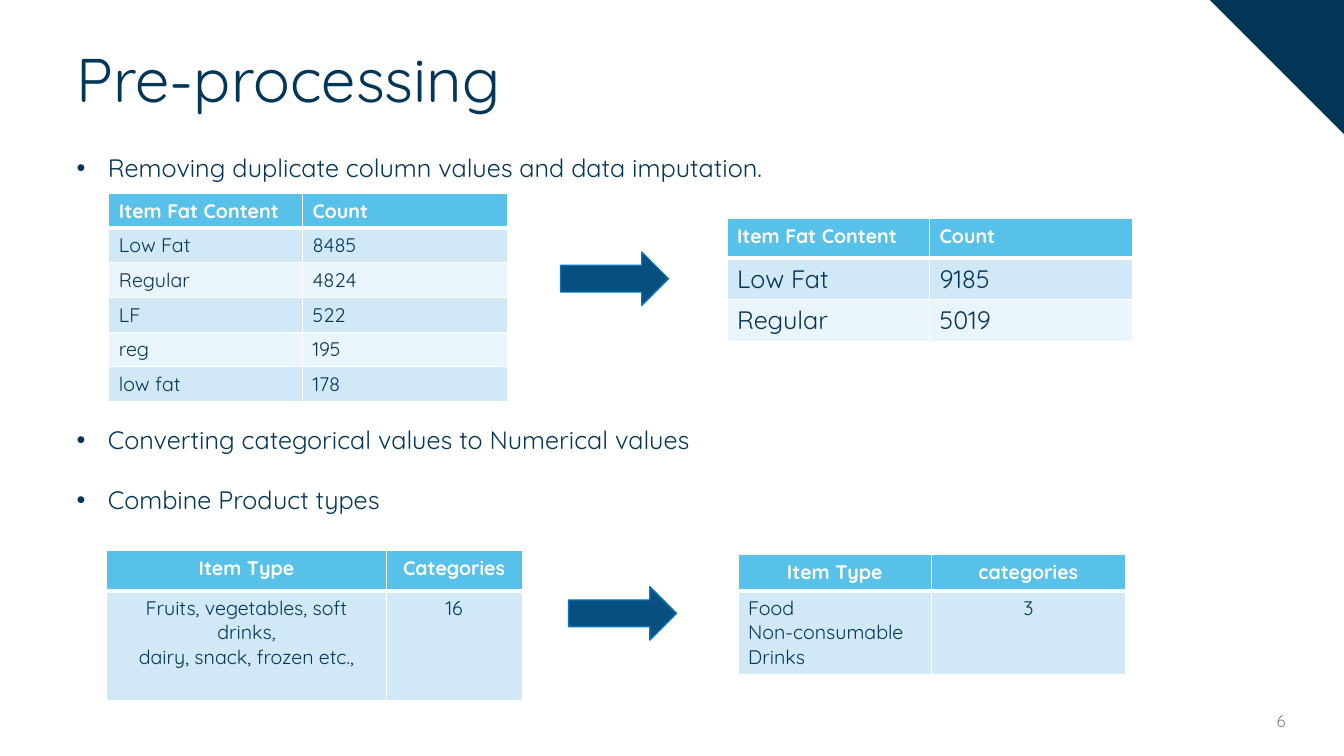
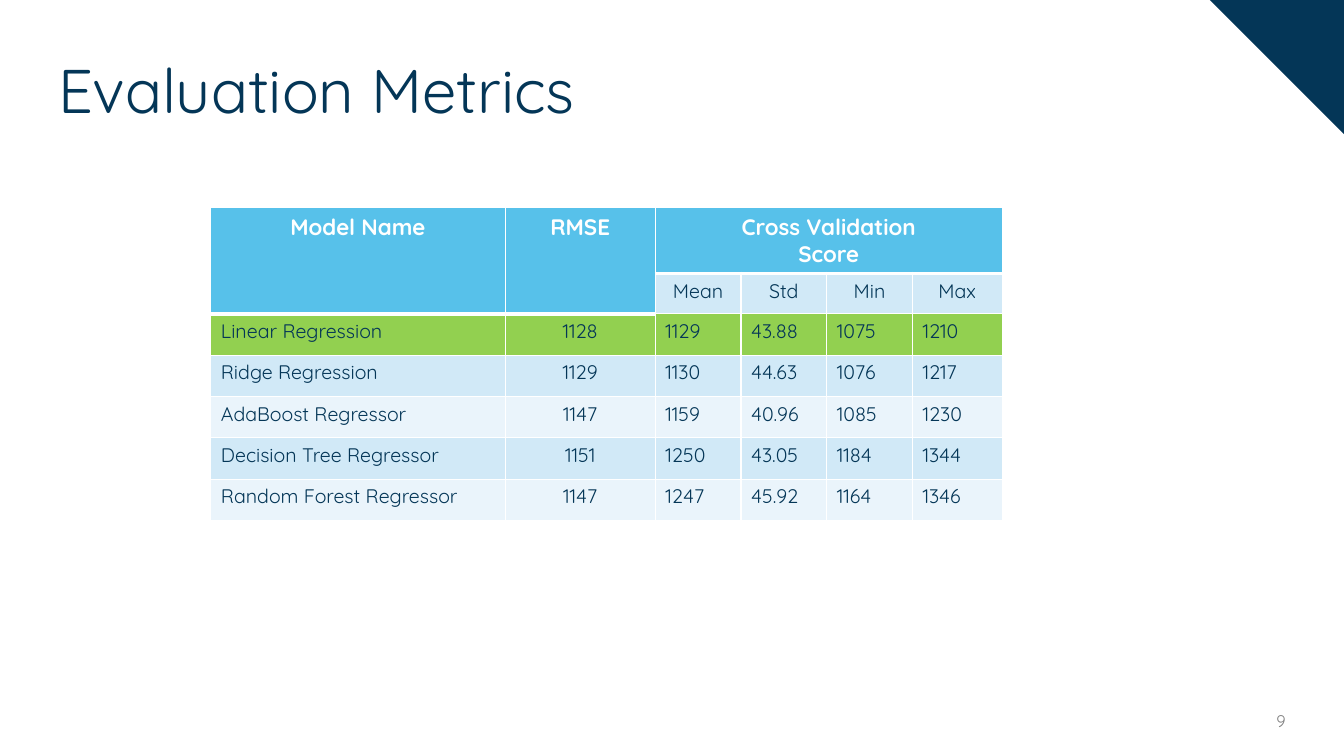
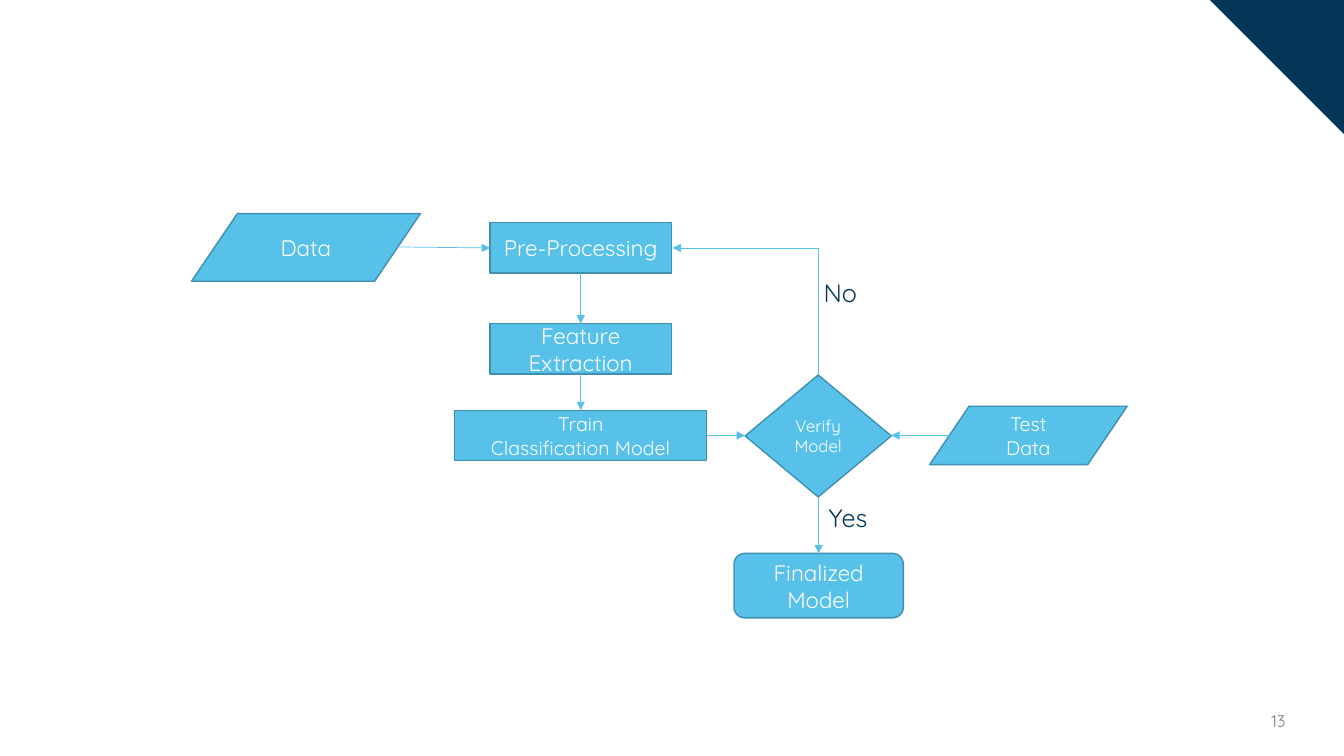
"""Build three slides on data preparation, model metrics and the training flow."""
from lxml.etree import SubElement
from pptx import Presentation
from pptx.dml.color import RGBColor
from pptx.enum.shapes import MSO_CONNECTOR as Connector, MSO_SHAPE as Shape
from pptx.enum.text import MSO_ANCHOR as Anchor, MSO_AUTO_SIZE as AutoSize, PP_ALIGN as Align
from pptx.oxml.ns import qn
from pptx.util import Inches, Pt

COLORS = {
    "navy": "043657", "sky": "57C1EA", "band_dark": "D1E9F7", "band_light": "EAF4FB",
    "highlight": "92D050", "arrow": "064F7F", "arrow_edge": "0974BB",
    "box_edge": "408FAD", "gray": "808080", "white": "FFFFFF",
}
FONT = "Quicksand"
ALIGNMENTS = {"l": Align.LEFT, "c": Align.CENTER, "r": Align.RIGHT}
TITLE_ONLY, TITLE_AND_BODY, BLANK = 5, 1, 6


def color(name):
    return RGBColor.from_string(COLORS[name])


def set_all(target, values):
    for name, value in values.items():
        setattr(target, name, value)


class Deck:
    """Hold the shared style and the current slide."""

    def __init__(self):
        self.presentation = Presentation()
        set_all(self.presentation, {"slide_width": Inches(13.33), "slide_height": Inches(7.5)})
        self.slide = None

    def new_slide(self, layout, number):
        self.slide = self.presentation.slides.add_slide(self.presentation.slide_layouts[layout])
        corner = self.shape(Shape.RIGHT_TRIANGLE, 12, 0, 1.33, 1.33, "navy")
        corner.rotation = 180
        self.label(str(number), 9.85, 6.95, 3, 0.4, 12, "gray", "r", Anchor.MIDDLE)

    def add_text(self, frame, text, size, ink="navy", align="l", bold=False, **paragraph_format):
        for index, line in enumerate(text.split("\n")):
            paragraph = frame.add_paragraph() if index else frame.paragraphs[0]
            set_all(paragraph, {"alignment": ALIGNMENTS[align], **paragraph_format})
            run = paragraph.add_run()
            run.text = line
            set_all(run.font, {"name": FONT, "size": Pt(size), "bold": bold})
            run.font.color.rgb = color(ink)

    def place(self, shape, left, top, width, height, anchor):
        set_all(shape, {"left": Inches(left), "top": Inches(top),
                        "width": Inches(width), "height": Inches(height)})
        set_all(shape.text_frame, {"word_wrap": True, "auto_size": AutoSize.NONE,
                                   "vertical_anchor": anchor})

    def title(self, text, left, top):
        title = self.slide.shapes.title
        self.place(title, left, top, 12.37, 1.06, Anchor.MIDDLE)
        self.add_text(title.text_frame, text, 44, line_spacing=0.9)

    def bullets(self, items, gaps, left, top, width, height):
        body = self.slide.placeholders[1]
        self.place(body, left, top, width, height, Anchor.TOP)
        self.add_text(body.text_frame, "\n".join(items), 18)
        for paragraph, gap in zip(body.text_frame.paragraphs, gaps):
            paragraph.space_before = Pt(gap)
            properties = paragraph._p.get_or_add_pPr()
            properties.set("marL", str(Inches(0.31)))
            properties.set("indent", str(Inches(-0.31)))
            SubElement(properties, qn("a:buChar")).set("char", "•")

    def label(self, text, left, top, width, height, size=18, ink="navy", align="l",
              anchor=Anchor.TOP):
        box = self.slide.shapes.add_textbox(0, 0, 0, 0)
        self.place(box, left, top, width, height, anchor)
        self.add_text(box.text_frame, text, size, ink, align)

    def shape(self, kind, left, top, width, height, fill, edge=None):
        shape = self.slide.shapes.add_shape(kind, 0, 0, 0, 0)
        self.place(shape, left, top, width, height, Anchor.MIDDLE)
        shape.shadow.inherit = False
        shape.fill.solid()
        shape.fill.fore_color.rgb = color(fill)
        if edge:
            shape.line.color.rgb = color(edge)
            shape.line.width = Pt(1)
        else:
            shape.line.fill.background()
        return shape

    def block_arrow(self, left, top):
        self.shape(Shape.RIGHT_ARROW, left, top, 1.07, 0.53, "arrow", "arrow_edge")

    def step(self, kind, text, left, top, width, height, size=16):
        shape = self.shape(kind, left, top, width, height, "sky", "box_edge")
        self.add_text(shape.text_frame, text, size, "white", "c")

    def line(self, start, end, arrow=True):
        points = [Inches(value) for value in (*start, *end)]
        connector = self.slide.shapes.add_connector(Connector.STRAIGHT, *points)
        connector.line.color.rgb = color("sky")
        connector.line.width = Pt(0.5)
        properties = connector._element.spPr
        if arrow:
            SubElement(properties.get_or_add_ln(), qn("a:tailEnd")).set("type", "triangle")
        SubElement(properties, qn("a:effectLst"))

    def borders(self, cell, bottom):
        properties = cell._tc.get_or_add_tcPr()
        for side, width in (("L", 1), ("R", 1), ("T", 1), ("B", bottom)):
            edge = SubElement(properties, qn(f"a:ln{side}"), w=str(Pt(width)))
            fill = SubElement(edge, qn("a:solidFill"))
            SubElement(fill, qn("a:srgbClr"), val=COLORS["white"])

    def table(self, left, top, widths, heights, rows, aligns, header_align="l",
              header_rows=1, header_size=14, size=14, merges=(), highlight=None):
        frame = self.slide.shapes.add_table(
            len(rows), len(widths), Inches(left), Inches(top),
            Inches(sum(widths)), Inches(sum(heights)))
        table = frame.table
        for column, width in zip(table.columns, widths):
            column.width = Inches(width)
        for row, height in zip(table.rows, heights):
            row.height = Inches(height)
        for first, last in merges:
            table.cell(*first).merge(table.cell(*last))
        for row, texts in enumerate(rows):
            band = "highlight" if row == highlight else ("band_light", "band_dark")[row % 2]
            for column, text in enumerate(texts):
                cell = table.cell(row, column)
                header = row == 0 or cell.is_spanned
                self.borders(cell, 3 if header else 1)
                cell.fill.solid()
                cell.fill.fore_color.rgb = color("sky" if header else band)
                if text:
                    align = header_align if row < header_rows else aligns[column]
                    self.add_text(cell.text_frame, text, header_size if header else size,
                                  "white" if header else "navy", align, header)


def preprocessing(deck):
    deck.new_slide(TITLE_AND_BODY, 6)
    deck.title("Pre-processing", 0.66, 0.29)
    deck.bullets(["Removing duplicate column values and data imputation.",
                  "Converting categorical values to Numerical values",
                  "Combine Product types"], [0, 173, 21], 0.66, 1.46, 9.52, 3.73)
    deck.block_arrow(5.56, 2.5)
    deck.block_arrow(5.64, 5.82)
    fat_header = ("Item Fat Content", "Count")
    deck.table(1.08, 1.92, [1.92, 2.03], [0.31] + [0.33] * 5,
               [fat_header, ("Low Fat", "8485"), ("Regular", "4824"), ("LF", "522"),
                ("reg", "195"), ("low fat", "178")], "ll")
    deck.table(7.21, 2.17, [2.01] * 2, [0.39, 0.4, 0.4],
               [fat_header, ("Low Fat", "9185"), ("Regular", "5019")], "ll", size=18)
    deck.table(1.06, 5.46, [2.77, 1.35], [0.4, 1.09],
               [("Item Type", "Categories"),
                ("Fruits, vegetables, soft drinks,\ndairy, snack, frozen etc.,", "16")],
               "cc", "c")
    deck.table(7.32, 5.5, [1.92] * 2, [0.36, 0.8],
               [("Item Type", "categories"), ("Food\nNon-consumable\nDrinks", "3")], "lc", "c")


def evaluation(deck):
    deck.new_slide(TITLE_ONLY, 9)
    deck.title("Evaluation Metrics", 0.48, 0.4)
    rows = [
        ("Model Name", "RMSE", "Cross Validation\nScore", "", "", ""),
        ("", "", "Mean", "Std", "Min", "Max"),
        ("Linear Regression", "1128", "1129", "43.88", "1075", "1210"),
        ("Ridge Regression", "1129", "1130", "44.63", "1076", "1217"),
        ("AdaBoost Regressor", "1147", "1159", "40.96", "1085", "1230"),
        ("Decision Tree Regressor", "1151", "1250", "43.05", "1184", "1344"),
        ("Random Forest Regressor", "1147", "1247", "45.92", "1164", "1346"),
    ]
    deck.table(2.09, 2.06, [2.92, 1.49, 0.85, 0.85, 0.85, 0.89], [0.65, 0.4] + [0.41] * 5,
               rows, "lcllll", "c", header_rows=2, header_size=16, highlight=2,
               merges=[((0, 0), (1, 0)), ((0, 1), (1, 1)), ((0, 2), (0, 5))])


def training_flow(deck):
    deck.new_slide(BLANK, 13)
    deck.step(Shape.FLOWCHART_DATA, "Data", 1.9, 2.12, 2.27, 0.67)
    deck.step(Shape.RECTANGLE, "Pre-Processing", 4.86, 2.21, 1.8, 0.5)
    deck.step(Shape.RECTANGLE, "Feature Extraction", 4.86, 3.21, 1.8, 0.5)
    deck.step(Shape.RECTANGLE, "Train\nClassification Model", 4.51, 4.07, 2.5, 0.5, 14)
    deck.step(Shape.FLOWCHART_DECISION, "Verify Model", 7.39, 3.72, 1.45, 1.21, 12)
    deck.step(Shape.FLOWCHART_DATA, "Test\nData", 9.22, 4.03, 1.96, 0.58, 14)
    deck.step(Shape.ROUNDED_RECTANGLE, "Finalized\nModel", 7.28, 5.49, 1.68, 0.64)
    train_x, verify_x, top_y, verify_y = 5.76, 8.12, 2.46, 4.32
    for start, end in [
        ((3.94, 2.45), (4.86, top_y)),
        ((train_x, 2.71), (train_x, 3.21)),
        ((train_x, 3.71), (train_x, 4.07)),
        ((7.01, verify_y), (7.39, verify_y)),
        ((9.42, verify_y), (8.84, verify_y)),
        ((verify_x, 4.93), (verify_x, 5.49)),
        ((verify_x, top_y), (6.67, top_y)),
    ]:
        deck.line(start, end)
    deck.line((verify_x, top_y), (verify_x, 3.72), arrow=False)
    deck.label("Yes", 8.12, 4.93, 0.61, 0.4)
    deck.label("No", 8.07, 2.7, 0.61, 0.4)


def main():
    deck = Deck()
    for build in (preprocessing, evaluation, training_flow):
        build(deck)
    deck.presentation.save("out.pptx")


if __name__ == "__main__":
    main()
